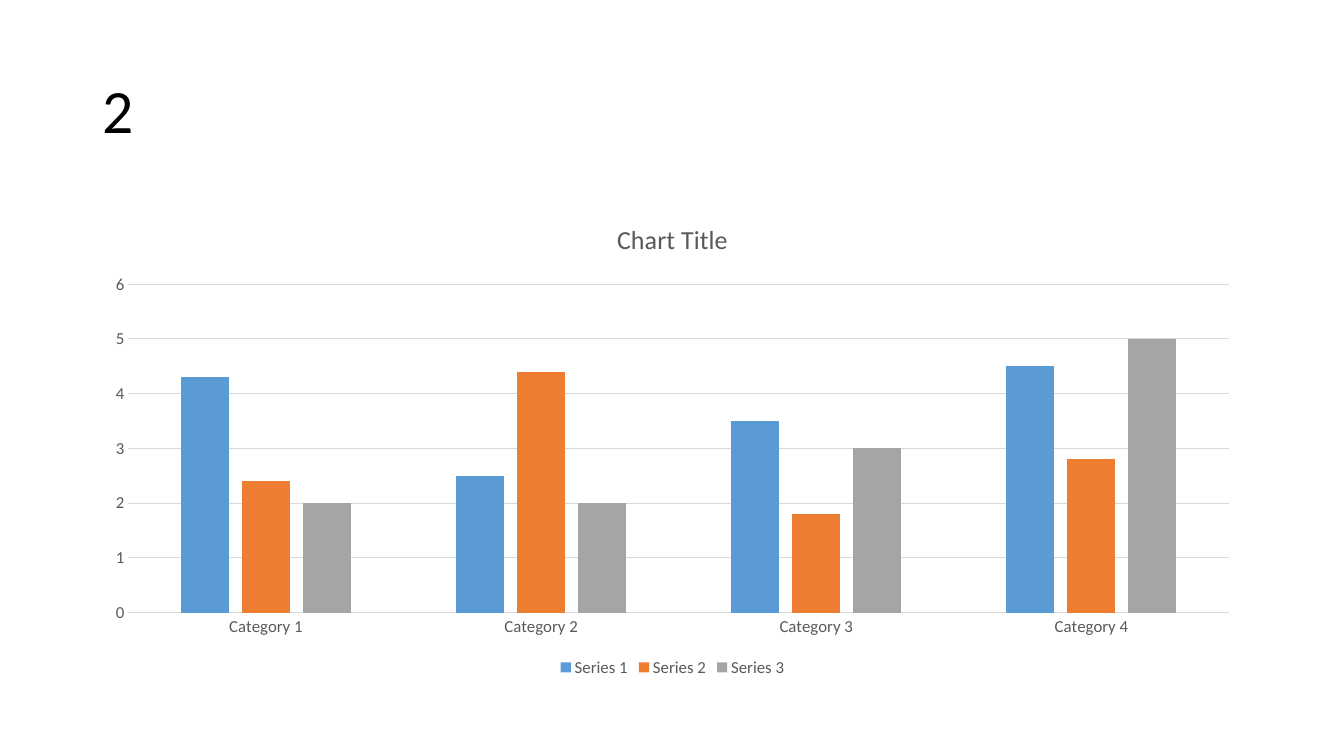
from pptx import Presentation
from pptx import util as u
from pptx.chart import data as cd
from pptx.dml import color
from pptx.enum import chart as ec, text

BLACK = color.RGBColor(0x00, 0x00, 0x00)
GRAY = color.RGBColor(0x59, 0x59, 0x59)
RULE = color.RGBColor(0xD9, 0xD9, 0xD9)
BLUE = color.RGBColor(0x5B, 0x9B, 0xD5)
ORANGE = color.RGBColor(0xED, 0x7D, 0x31)
SILVER = color.RGBColor(0xA5, 0xA5, 0xA5)
FONT = "Calibri"

CATEGORIES = ["Category 1", "Category 2", "Category 3", "Category 4"]
SERIES = [
    ("Series 1", (4.3, 2.5, 3.5, 4.5), BLUE),
    ("Series 2", (2.4, 4.4, 1.8, 2.8), ORANGE),
    ("Series 3", (2, 2, 3, 5), SILVER),
]


def style_font(font, size, rgb):
    """Set the typeface, size and colour of a font."""
    font.name = FONT
    font.size = u.Pt(size)
    font.bold = False
    font.color.rgb = rgb


def write(tf, content, size=18, rgb=BLACK, spacing=None):
    """Write one formatted paragraph into a text frame."""
    p = tf.paragraphs[0]
    p.line_spacing = spacing
    r = p.add_run()
    r.text = content
    style_font(r.font, size, rgb)


def rule(line):
    """Give a chart line the thin light gray look."""
    line.color.rgb = RULE
    line.width = u.Pt(0.75)


def add_title(s, x, y, w, h):
    """Place the slide title in the given box."""
    tf = s.shapes.add_textbox(x, y, w, h).text_frame
    tf.word_wrap = True
    tf.vertical_anchor = text.MSO_ANCHOR.MIDDLE
    write(tf, "2", size=44, spacing=0.9)


def add_column_chart(s, x, y, w, h):
    """Place the clustered column chart in the given box."""
    data = cd.CategoryChartData()
    data.categories = CATEGORIES
    for name, values, _ in SERIES:
        data.add_series(name, values)
    chart = s.shapes.add_chart(
        ec.XL_CHART_TYPE.COLUMN_CLUSTERED, x, y, w, h, data).chart
    style_font(chart.font, 12, GRAY)
    chart.has_title = True
    write(chart.chart_title.text_frame, "Chart Title", size=18.6, rgb=GRAY)
    chart.chart_title.include_in_layout = False

    chart.has_legend = True
    chart.legend.position = ec.XL_LEGEND_POSITION.BOTTOM
    chart.legend.include_in_layout = False
    style_font(chart.legend.font, 12, GRAY)

    for axis in (chart.category_axis, chart.value_axis):
        axis.major_tick_mark = ec.XL_TICK_MARK.NONE
        axis.minor_tick_mark = ec.XL_TICK_MARK.NONE
        style_font(axis.tick_labels.font, 12, GRAY)
    rule(chart.category_axis.format.line)
    chart.value_axis.format.line.fill.background()
    chart.value_axis.has_major_gridlines = True
    rule(chart.value_axis.major_gridlines.format.line)

    plot = chart.plots[0]
    plot.vary_by_categories = False
    plot.gap_width = 219
    plot.overlap = -27
    for series, (_, _, rgb) in zip(plot.series, SERIES):
        series.invert_if_negative = False
        series.format.fill.solid()
        series.format.fill.fore_color.rgb = rgb


def main():
    """Build the slide and save it."""
    prs = Presentation()
    prs.slide_width, prs.slide_height = u.Inches(13.33), u.Inches(7.5)
    s = prs.slides.add_slide(prs.slide_layouts[6])
    left, width = u.Inches(0.92), u.Inches(11.5)
    add_title(s, left, u.Inches(0.4), width, u.Inches(1.45))
    add_column_chart(s, left, u.Inches(2), width, u.Inches(4.76))
    prs.save("out.pptx")


if __name__ == "__main__":
    main()
